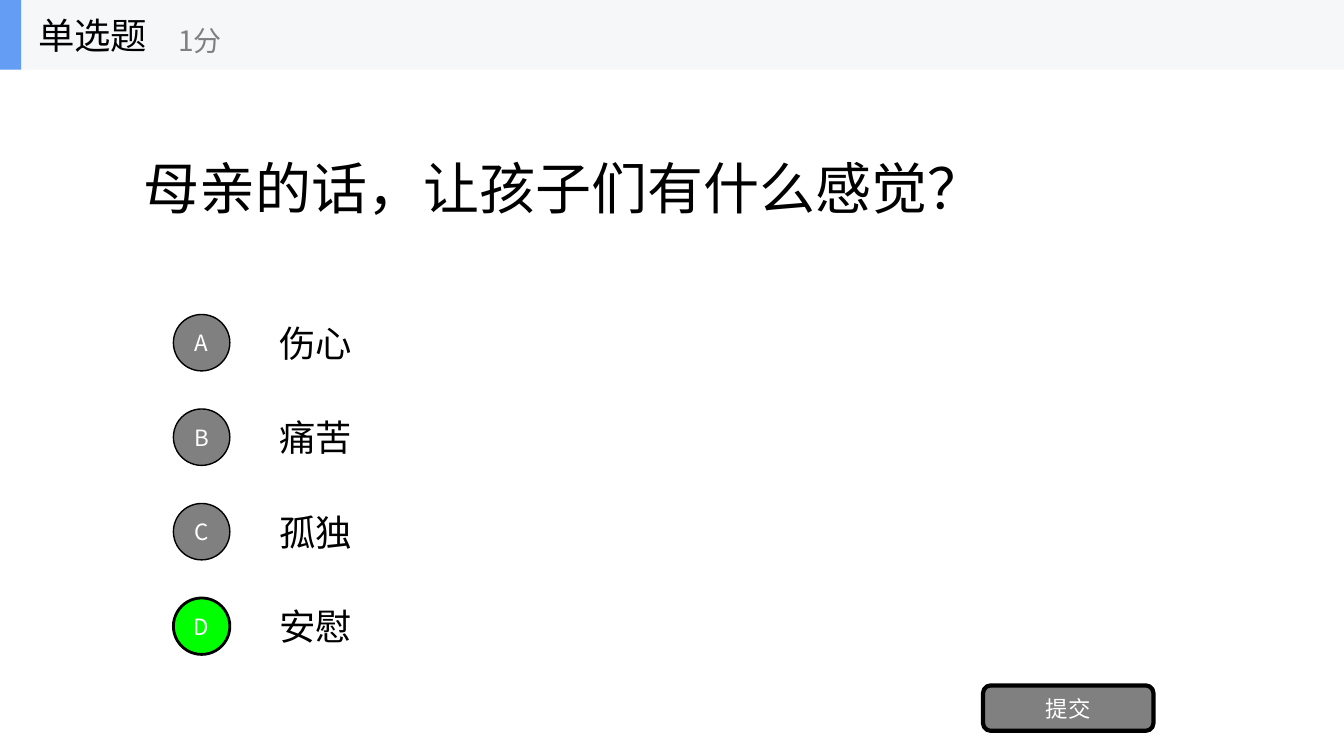
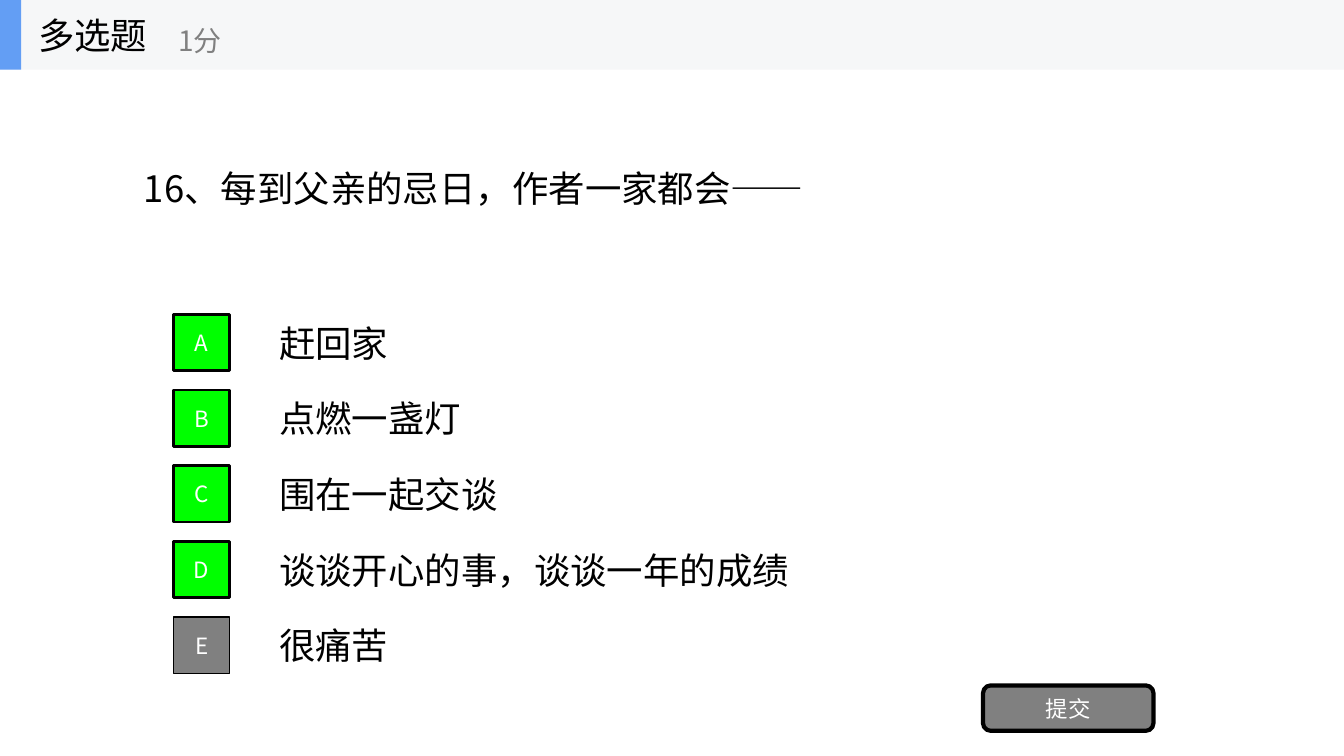
"""Build two quiz slides: one single-choice and one multiple-choice question."""
from dataclasses import dataclass

from lxml.etree import SubElement
from pptx import Presentation
from pptx.dml.color import RGBColor
from pptx.enum.shapes import MSO_SHAPE as SHAPE
from pptx.enum.text import MSO_ANCHOR as ANCHOR, PP_ALIGN as ALIGN
from pptx.oxml.ns import qn
from pptx.util import Inches, Pt

FONT = "Noto Sans CJK SC"
BLACK, WHITE, GREY = "000000", "FFFFFF", "808080"
GREEN, BLUE, BAND = "00FF00", "639EF4", "F6F7F8"

SLIDE_W, SLIDE_H = 13.33, 7.5
BAND_H = 0.69
OPTIONS_TOP, OPTIONS_H = 3.05, 3.75
OPTION_H, MARKER = 0.7, 0.56


@dataclass(frozen=True)
class Box:
    left: float
    top: float
    width: float
    height: float

    def lengths(self) -> tuple:
        return tuple(Inches(v) for v in (self.left, self.top, self.width, self.height))


@dataclass(frozen=True)
class Question:
    kind: str
    text: str
    size: int
    marker: SHAPE
    options: tuple[str, ...]
    correct: str


QUESTIONS = (
    Question("单选题", "母亲的话，让孩子们有什么感觉？", 40, SHAPE.OVAL,
             ("伤心", "痛苦", "孤独", "安慰"), "D"),
    Question("多选题", "16、每到父亲的忌日，作者一家都会——", 26, SHAPE.RECTANGLE,
             ("赶回家", "点燃一盏灯", "围在一起交谈", "谈谈开心的事，谈谈一年的成绩", "很痛苦"),
             "ABCD"),
)


def rgb(color: str) -> RGBColor:
    return RGBColor.from_string(color)


def write(sp, text: str, size: int, color: str, align: ALIGN = ALIGN.LEFT) -> None:
    tf = sp.text_frame
    tf.word_wrap = True
    tf.vertical_anchor = ANCHOR.MIDDLE
    p = tf.paragraphs[0]
    p.text = text
    p.alignment = align
    p.font.size = Pt(size)
    p.font.name = FONT
    p.font.color.rgb = rgb(color)
    props = p._p.pPr.find(qn("a:defRPr"))
    SubElement(props, qn("a:ea")).set("typeface", FONT)


def add_text(shapes, box: Box, text: str, size: int, color: str = BLACK) -> None:
    write(shapes.add_textbox(*box.lengths()), text, size, color)


def add_block(shapes, kind: SHAPE, box: Box, fill: str, line: int = 0, text: str = "") -> None:
    sp = shapes.add_shape(kind, *box.lengths())
    sp.shadow.inherit = False
    sp.fill.solid()
    sp.fill.fore_color.rgb = rgb(fill)
    if line:
        sp.line.color.rgb = rgb(BLACK)
        sp.line.width = Pt(line)
    else:
        sp.line.fill.background()
    if text:
        write(sp, text, 16, WHITE, ALIGN.CENTER)


def add_header(shapes, kind: str) -> None:
    group = shapes.add_group_shape().shapes
    add_block(group, SHAPE.RECTANGLE, Box(0, 0, SLIDE_W, BAND_H), BAND)
    add_block(group, SHAPE.RECTANGLE, Box(0, 0, 0.21, BAND_H), BLUE)
    add_text(group, Box(0.28, 0, 2.08, BAND_H), kind, 26)
    add_text(group, Box(1.67, 0.12, 2.5, 0.56), "1分", 20, GREY)


def add_options(shapes, question: Question) -> None:
    pitch = OPTIONS_H / len(question.options)
    inset = (OPTION_H - MARKER) / 2
    for i, (letter, option) in enumerate(zip("ABCDE", question.options)):
        top = OPTIONS_TOP + i * pitch
        fill, line = (GREEN, 2) if letter in question.correct else (GREY, 1)
        add_text(shapes, Box(2.67, top, 9.33, OPTION_H), option, 26)
        add_block(shapes, question.marker, Box(1.72, top + inset, MARKER, MARKER),
                  fill, line, letter)


def add_question(prs, question: Question) -> None:
    s = prs.slides.add_slide(prs.slide_layouts[6])
    s.background.fill.solid()
    s.background.fill.fore_color.rgb = rgb(WHITE)
    add_text(s.shapes, Box(1.33, BAND_H, 10.67, 2.34), question.text, question.size)
    add_options(s.shapes, question)
    add_block(s.shapes, SHAPE.ROUNDED_RECTANGLE, Box(9.75, 6.8, 1.69, 0.45), GREY, 3, "提交")
    add_header(s.shapes, question.kind)


def main() -> None:
    prs = Presentation()
    prs.slide_width, prs.slide_height = Inches(SLIDE_W), Inches(SLIDE_H)
    for question in QUESTIONS:
        add_question(prs, question)
    prs.save("out.pptx")


if __name__ == "__main__":
    main()
